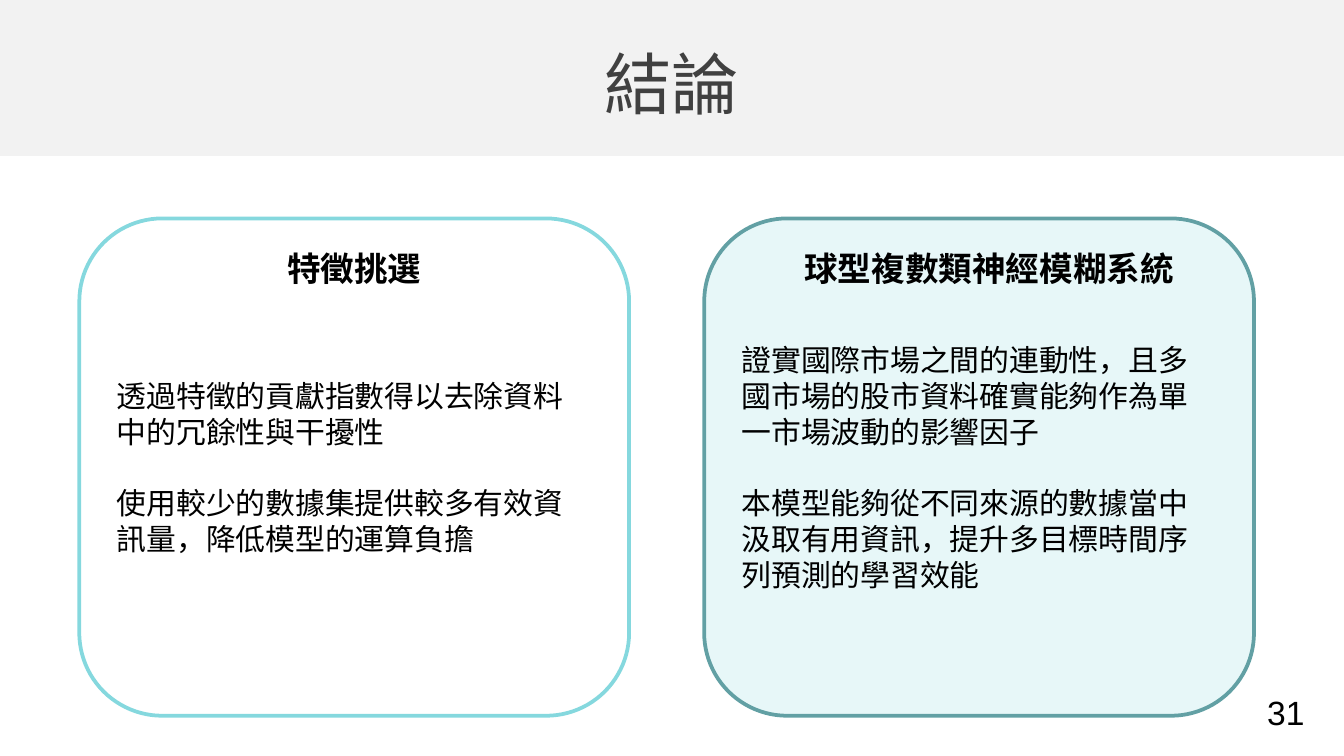
from dataclasses import dataclass

from lxml.etree import SubElement
from pptx import Presentation
from pptx.dml.color import RGBColor as Rgb
from pptx.enum.shapes import MSO_SHAPE as Preset
from pptx.enum.text import MSO_ANCHOR as Anchor, PP_ALIGN as Align
from pptx.oxml.ns import qn
from pptx.util import Cm, Pt


@dataclass(frozen=True)
class Theme:
    cjk_font: str = "Noto Sans CJK SC"
    latin_font: str = "Arial"
    band: str = "F2F2F2"
    title: str = "404040"
    ink: str = "000000"
    title_size: int = 36
    heading_size: int = 18
    body_size: int = 16
    leading: float = 1.2


class ConclusionSlide:
    def __init__(self, slide, theme):
        self.shapes = slide.shapes
        self.theme = theme

    def set_text(self, frame, paragraphs, size, color, align=Align.LEFT, bold=False, font=None):
        """Fill a text frame, leaving one line's height between paragraphs."""
        font = font or self.theme.cjk_font
        line_height = Pt(size * self.theme.leading)
        frame.text = "\n".join(paragraphs)
        for index, paragraph in enumerate(frame.paragraphs):
            paragraph.alignment = align
            paragraph.line_spacing = line_height
            if index:
                paragraph.space_before = line_height
            for run in paragraph.runs:
                run.font.size = Pt(size)
                run.font.bold = bold
                run.font.color.rgb = Rgb.from_string(color)
                run.font.name = font
                SubElement(run.font._element, qn("a:ea"), typeface=font)

    def box(self, preset, left, top, width, height, fill, line=None):
        shape = self.shapes.add_shape(preset, Cm(left), Cm(top), Cm(width), Cm(height))
        shape.shadow.inherit = False
        shape.fill.solid()
        shape.fill.fore_color.rgb = Rgb.from_string(fill)
        if line:
            shape.line.color.rgb = Rgb.from_string(line)
            shape.line.width = Pt(2)
        else:
            shape.line.fill.background()
        return shape

    def label(self, text, left, top, width, height, size, color=None, wrap=False, **style):
        frame = self.shapes.add_textbox(Cm(left), Cm(top), Cm(width), Cm(height)).text_frame
        frame.word_wrap = wrap
        frame.vertical_anchor = Anchor.MIDDLE
        self.set_text(frame, [text], size, color or self.theme.ink, **style)

    def card(self, left, fill, line, points):
        card = self.box(Preset.ROUNDED_RECTANGLE, left, 4.13, 10.39, 9.4, fill, line)
        card.text_frame.word_wrap = True
        card.text_frame.vertical_anchor = Anchor.MIDDLE
        self.set_text(card.text_frame, points, self.theme.body_size, self.theme.ink)

    def heading(self, text, left, width):
        self.label(text, left, 4.55, width, 1.02, self.theme.heading_size,
                   align=Align.CENTER, bold=True)


def main():
    theme = Theme()
    deck = Presentation()
    deck.slide_width, deck.slide_height = Cm(25.4), Cm(14.29)
    page = ConclusionSlide(deck.slides.add_slide(deck.slide_layouts[6]), theme)

    page.box(Preset.RECTANGLE, 0, 0, 25.4, 2.95, theme.band)
    page.label("31", 23.7, 12.95, 1.3, 1.02, theme.heading_size, font=theme.latin_font)
    page.label("結論", 0, 0.76, 25.4, 1.6, theme.title_size, theme.title,
               wrap=True, align=Align.CENTER)

    page.card(1.5, "FFFFFF", "85D8DE", [
        "透過特徵的貢獻指數得以去除資料中的冗餘性與干擾性",
        "使用較少的數據集提供較多有效資訊量，降低模型的運算負擔",
    ])
    page.card(13.31, "E7F7F8", "62A0A4", [
        "證實國際市場之間的連動性，且多國市場的股市資料確實能夠作為單一市場波動的影響因子",
        "本模型能夠從不同來源的數據當中汲取有用資訊，提升多目標時間序列預測的學習效能",
    ])
    page.heading("特徵挑選", 5.16, 3.07)
    page.heading("球型複數類神經模糊系統", 14.91, 7.57)

    deck.save("out.pptx")


if __name__ == "__main__":
    main()
